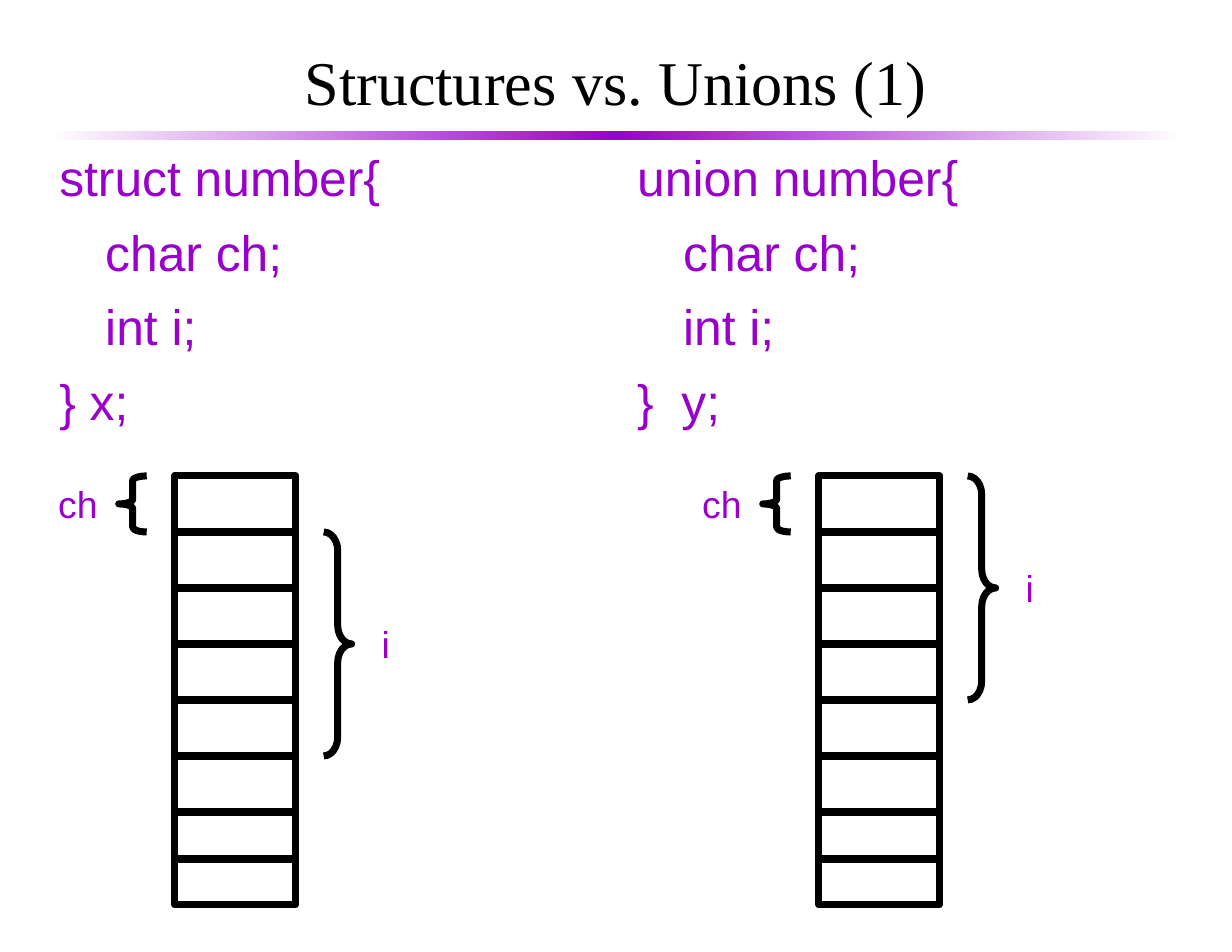
"""Build a slide comparing the memory layout of a C structure and a union."""
import copy

import pptx
import pptx.dml.color
import pptx.enum.shapes
import pptx.enum.text
import pptx.oxml.ns
import pptx.util
from lxml import etree

Inches = pptx.util.Inches
Pt = pptx.util.Pt
RGBColor = pptx.dml.color.RGBColor
Shape = pptx.enum.shapes.MSO_SHAPE
Align = pptx.enum.text.PP_ALIGN
Anchor = pptx.enum.text.MSO_ANCHOR
qn = pptx.oxml.ns.qn

BLACK = RGBColor(0x00, 0x00, 0x00)
WHITE = RGBColor(0xFF, 0xFF, 0xFF)
PURPLE = RGBColor(0x99, 0x00, 0xCC)

TITLE = "Structures vs. Unions (1)"
SIDES = [
    {"code": [("struct number{", 0), ("char ch;", 1), ("int i;", 1), ("} x;", 0)],
     "left": 0.42, "stack": 1.56, "start": 1},
    {"code": [("union number{", 0), ("char ch;", 1), ("int i;", 1), ("}  y;", 0)],
     "left": 5.58, "stack": 7.31, "start": 0},
]
TOP, CELL, WIDE, TALL = 4.25, 0.5, 1.08, 3.83
RULES = [TOP + CELL * n for n in range(1, 7)] + [7.67]
STEP = 0.41

deck = pptx.Presentation()
deck.slide_width, deck.slide_height = Inches(11), Inches(8.5)
slide = deck.slides.add_slide(deck.slide_layouts[6])
shapes = slide.shapes


def add_text(lines, box, size=24, font="Arial", color=PURPLE, align=Align.CENTER,
             anchor=Anchor.MIDDLE, wrap=True, inset=(0.11, 0.06), space=0):
    frame = shapes.add_textbox(*map(Inches, box)).text_frame
    frame.word_wrap = wrap
    frame.vertical_anchor = anchor
    frame.margin_left = frame.margin_right = Inches(inset[0])
    frame.margin_top = frame.margin_bottom = Inches(inset[1])
    for n, (text, level) in enumerate(lines):
        para = frame.paragraphs[0] if n == 0 else frame.add_paragraph()
        para.alignment = align
        if n:
            para.space_before = Pt(space)
        if level:
            para._p.get_or_add_pPr().set("marL", str(Inches(STEP * level)))
        run = para.add_run()
        run.text = text
        run.font.size, run.font.name = Pt(size), font
        run.font.color.rgb = color


def add_bar(box):
    bar = shapes.add_shape(Shape.RECTANGLE, *map(Inches, box))
    bar.shadow.inherit = False
    bar.line.fill.background()
    bar.fill.gradient()
    bar.fill.gradient_angle = 0
    stops = bar._element.spPr.find(".//" + qn("a:gsLst"))
    stops.append(copy.deepcopy(stops[-1]))
    for stop, place, color in zip(bar.fill.gradient_stops, (0, 0.5, 1), (WHITE, PURPLE, WHITE)):
        stop.position = place
        stop.color.rgb = color


def add_frame(kind, box):
    shape = shapes.add_shape(kind, *map(Inches, box))
    shape.shadow.inherit = False
    shape.fill.background()
    shape.line.color.rgb, shape.line.width = BLACK, Pt(4.5)
    return shape


def add_rule(left, y):
    line = shapes.add_connector(pptx.enum.shapes.MSO_CONNECTOR.STRAIGHT,
                                Inches(left), Inches(y), Inches(left + WIDE), Inches(y))
    line.line.color.rgb, line.line.width = BLACK, Pt(4.5)
    etree.SubElement(line._element.spPr, qn("a:effectLst"))


def add_brace(kind, left, top, tall, wide=0.25):
    brace = add_frame(kind, (left, top, wide, tall))
    brace.adjustments[0] = tall / 12 / wide


def add_label(text, left, top, wide):
    add_text([(text, 0)], (left, top, wide, CELL), wrap=False, inset=(0.1, 0.05))


def add_stack(left, start):
    add_frame(Shape.RECTANGLE, (left, TOP, WIDE, TALL))
    for y in RULES:
        add_rule(left, y)
    top, tall = TOP + CELL * start, CELL * 4
    add_brace(Shape.LEFT_BRACE, left - 0.5, TOP, CELL)
    add_brace(Shape.RIGHT_BRACE, left + WIDE + 0.25, top, tall)
    add_label("ch", left - 1.14, TOP, 0.55)
    add_label("i", left + 1.75, top + (tall - CELL) / 2, 0.27)


add_bar((0.42, 1.17, 10.17, 0.08))
add_text([(TITLE, 0)], (0.58, 0.28, 9.83, 0.88), size=40, font="Times New Roman", color=BLACK)
for side in SIDES:
    add_text(side["code"], (side["left"], 1.25, 5, 2.67), size=32,
             align=Align.LEFT, anchor=Anchor.TOP, space=9.6)
    add_stack(side["stack"], side["start"])

deck.save("out.pptx")
